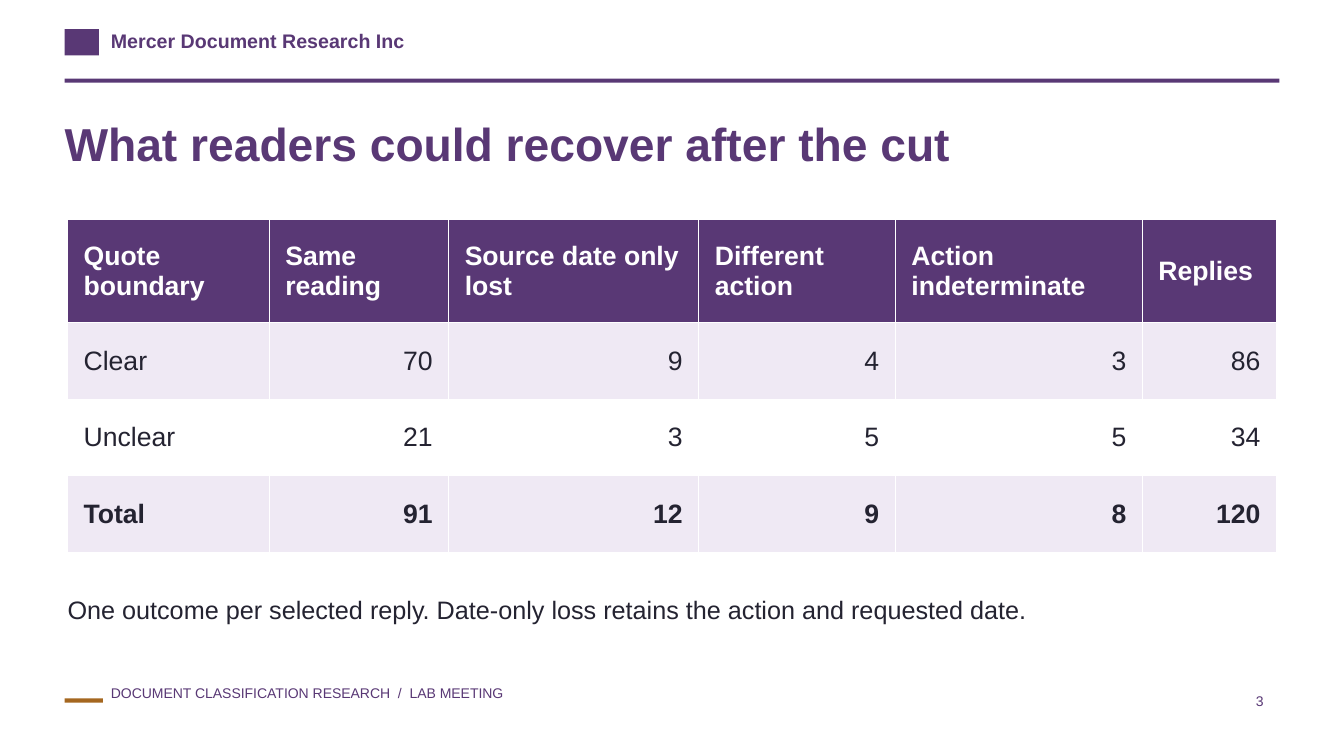
from lxml import etree
from pptx import Presentation
from pptx import util as u
from pptx.dml.color import RGBColor
from pptx.enum import shapes, text
from pptx.oxml.ns import qn

PX = 9144  # EMU per px, at 100 px to the inch
FONT = "Arial"
PURPLE = RGBColor(0x59, 0x38, 0x75)
OCHRE = RGBColor(0xA5, 0x67, 0x20)
LILAC = RGBColor(0xEF, 0xE9, 0xF4)
INK = RGBColor(0x24, 0x23, 0x31)
WHITE = RGBColor(0xFF, 0xFF, 0xFF)

COLUMN_WIDTHS = [200, 178, 248, 195, 245, 133]
ROW_HEIGHTS = [102, 76, 76, 76]
OUTCOMES = [
    ["Quote boundary", "Same reading", "Source date only lost",
     "Different action", "Action indeterminate", "Replies"],
    ["Clear", "70", "9", "4", "3", "86"],
    ["Unclear", "21", "3", "5", "5", "34"],
    ["Total", "91", "12", "9", "8", "120"],
]


def px(*lengths):
    return [u.Emu(length * PX) for length in lengths]


def add_bar(slide, box, color):
    bar = slide.shapes.add_shape(shapes.MSO_SHAPE.RECTANGLE, *px(*box))
    bar.shadow.inherit = False
    bar.fill.solid()
    bar.fill.fore_color.rgb = color
    bar.line.fill.background()


def write(paragraph, words, size, color, bold=False, align=text.PP_ALIGN.LEFT):
    paragraph.alignment = align
    run = paragraph.add_run()
    run.text = words
    run.font.name = FONT
    run.font.size = u.Pt(size)
    run.font.bold = bold
    run.font.color.rgb = color


def set_margins(target, horizontal, vertical):
    target.margin_left = target.margin_right = px(horizontal)[0]
    target.margin_top = target.margin_bottom = px(vertical)[0]


def add_label(slide, box, words, size, color, wrap=True, margins=(0, 0), **style):
    frame = slide.shapes.add_textbox(*px(*box)).text_frame
    frame.word_wrap = wrap
    frame.vertical_anchor = text.MSO_ANCHOR.TOP
    set_margins(frame, *margins)
    write(frame.paragraphs[0], words, size, color, **style)


def add_header(slide, left, top, width):
    add_bar(slide, (left, top, 34, 26), PURPLE)
    add_label(slide, (left + 46, top, 310, 30), "Mercer Document Research Inc",
              14, PURPLE, wrap=False, bold=True)
    add_bar(slide, (left, top + 49, width, 4), PURPLE)


def add_footer(slide, left, top, width):
    add_bar(slide, (left, top + 14, 38, 4), OCHRE)
    add_label(slide, (left + 46, top, 430, 35),
              "DOCUMENT CLASSIFICATION RESEARCH  /  LAB MEETING",
              10, PURPLE, wrap=False)
    add_label(slide, (left + width - 81, top + 3, 75, 32), "3", 10, PURPLE,
              margins=(10, 5), align=text.PP_ALIGN.RIGHT)


def add_cell_borders(cell, color, width):
    properties = cell._tc.get_or_add_tcPr()
    for side in ("a:lnL", "a:lnR", "a:lnT", "a:lnB"):
        line = etree.SubElement(properties, qn(side), w=str(u.Pt(width)))
        fill = etree.SubElement(line, qn("a:solidFill"))
        etree.SubElement(fill, qn("a:srgbClr"), val=str(color))


def add_outcome_table(slide, left, top):
    box = px(left, top, sum(COLUMN_WIDTHS), sum(ROW_HEIGHTS))
    table = slide.shapes.add_table(len(ROW_HEIGHTS), len(COLUMN_WIDTHS), *box).table
    for column, width in zip(table.columns, px(*COLUMN_WIDTHS)):
        column.width = width
    for row, height in zip(table.rows, px(*ROW_HEIGHTS)):
        row.height = height
    last = len(OUTCOMES) - 1
    for i, values in enumerate(OUTCOMES):
        header = i == 0
        fill = PURPLE if header else LILAC if i % 2 else WHITE
        for j, value in enumerate(values):
            cell = table.cell(i, j)
            add_cell_borders(cell, WHITE, 1)
            cell.fill.solid()
            cell.fill.fore_color.rgb = fill
            cell.vertical_anchor = text.MSO_ANCHOR.MIDDLE
            set_margins(cell, 16, 5)
            number = not header and j > 0
            write(cell.text_frame.paragraphs[0], value, 19,
                  WHITE if header else INK, bold=i in (0, last),
                  align=text.PP_ALIGN.RIGHT if number else text.PP_ALIGN.LEFT)


def add_results_slide(presentation):
    slide = presentation.slides.add_slide(presentation.slide_layouts[6])
    left, width = 64, 1205
    add_header(slide, left, 29, width)
    add_footer(slide, left, 679, width)
    add_label(slide, (left, 114, width, 82),
              "What readers could recover after the cut", 33, PURPLE, bold=True)
    add_outcome_table(slide, left + 3, 218)
    add_label(slide, (left + 3, 590, sum(COLUMN_WIDTHS), 58),
              "One outcome per selected reply. "
              "Date-only loss retains the action and requested date.", 18, INK)


def main():
    presentation = Presentation()
    presentation.slide_width, presentation.slide_height = px(1333, 750)
    add_results_slide(presentation)
    presentation.save("out.pptx")


if __name__ == "__main__":
    main()
